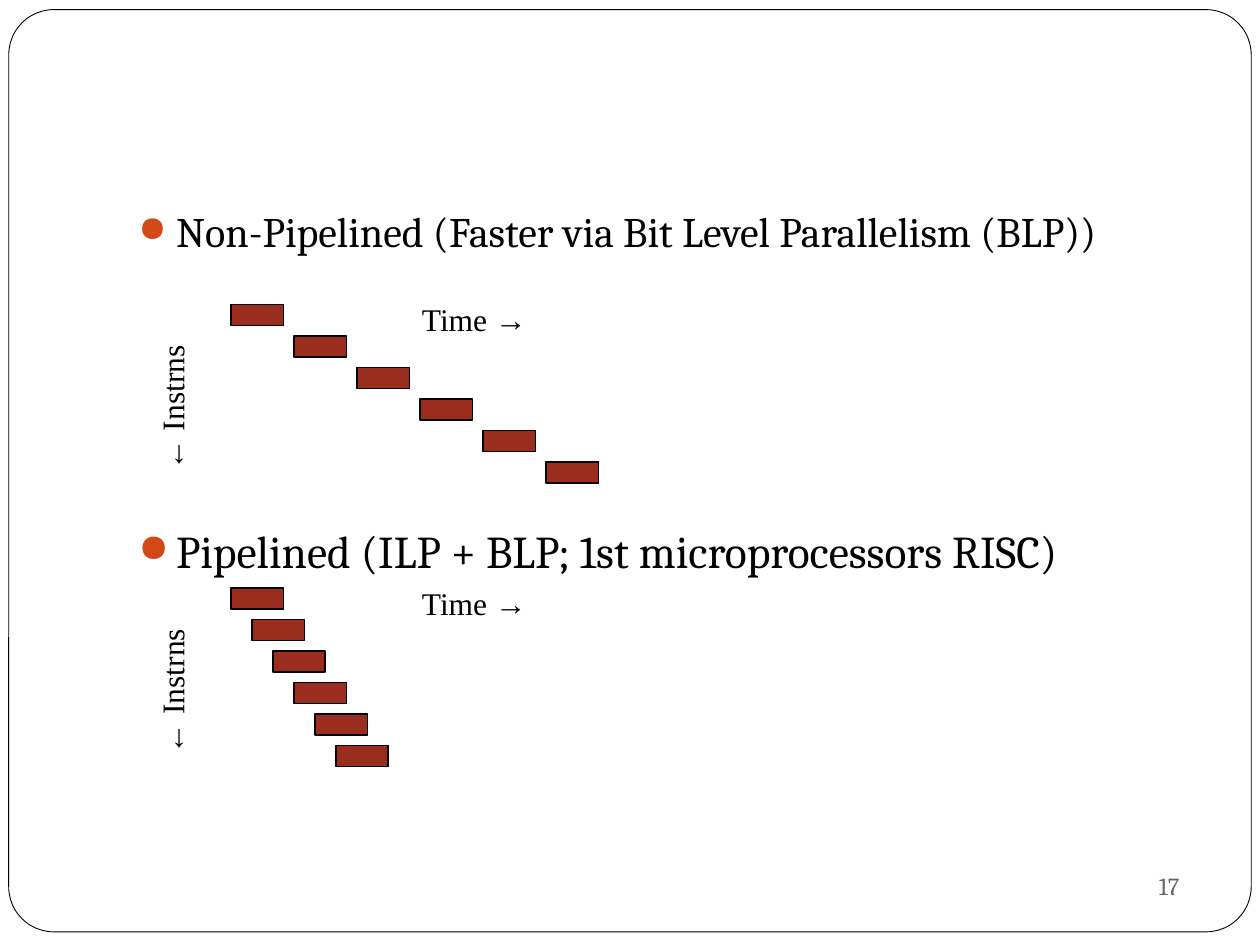
from lxml import etree
from pptx import Presentation
from pptx.dml.color import RGBColor
from pptx.enum.shapes import MSO_SHAPE
from pptx.enum.text import MSO_ANCHOR, PP_ALIGN
from pptx.oxml.ns import qn
from pptx.util import Pt

RECT = MSO_SHAPE.RECTANGLE
ROUNDED = MSO_SHAPE.ROUNDED_RECTANGLE
MIDDLE = MSO_ANCHOR.MIDDLE
LEFT, RIGHT = PP_ALIGN.LEFT, PP_ALIGN.RIGHT
BLACK, WHITE, RUST, ORANGE, GREY = "000000", "FFFFFF", "9B2D1F", "D34817", "696464"
BAR_COUNT = 6


def color(value):
    """Return the colour for a hex string."""
    return RGBColor.from_string(value)


def add_box(shapes, kind, at, fill, line_width):
    """Add a filled preset shape with a black outline."""
    box = shapes.add_shape(kind, *map(Pt, at))
    box.shadow.inherit = False
    box.fill.solid()
    box.fill.fore_color.rgb = color(fill)
    box.line.color.rgb = color(BLACK)
    box.line.width = Pt(line_width)
    return box


def write(paragraph, text, size, font, ink=BLACK, align=LEFT):
    """Write one formatted run into a paragraph."""
    paragraph.alignment = align
    run = paragraph.add_run()
    run.text = text
    run.font.color.rgb = color(ink)
    for name, value in {"size": Pt(size), "name": font}.items():
        setattr(run.font, name, value)


def add_frame(shapes, at, wrap=True):
    """Add a text box and return it."""
    frame = shapes.add_textbox(*map(Pt, at))
    frame.text_frame.word_wrap = wrap
    return frame


def add_bullet(paragraph):
    """Give a paragraph a hanging round orange bullet."""
    props = paragraph._p.get_or_add_pPr()
    props.set("marL", str(Pt(21.6)))
    props.set("indent", str(-Pt(21.6)))
    bullet_color = etree.SubElement(props, qn("a:buClr"))
    etree.SubElement(bullet_color, qn("a:srgbClr"), val=ORANGE)
    etree.SubElement(props, qn("a:buSzPct"), val="85000")
    etree.SubElement(props, qn("a:buChar"), char="●")


def add_headings(shapes):
    """Add the two bulleted headings in one text box."""
    body = add_frame(shapes, (72, 114, 612, 360)).text_frame
    headings = [
        ("Non-Pipelined (Faster via Bit Level Parallelism (BLP))", 24, 5.8),
        ("Pipelined (ILP + BLP; 1st microprocessors RISC)", 26, 152.5),
    ]
    for index, (text, size, gap) in enumerate(headings):
        paragraph = body.add_paragraph() if index else body.paragraphs[0]
        paragraph.space_before = Pt(gap)
        write(paragraph, text, size, "Cambria")
        add_bullet(paragraph)


def add_timeline(shapes, top, step):
    """Add a staircase of instruction bars with its two axis labels."""
    timeline = shapes.add_group_shape().shapes
    for index in range(BAR_COUNT):
        at = (132 + index * step, top + index * 18, 30, 12)
        add_box(timeline, RECT, at, RUST, 1)
    labels = [
        ("Time →", (234, top - 6, 84, 28.8), 0),
        ("← Instrns", (54.7, top + 44, 87.1, 28.8), 270),
    ]
    for text, at, rotation in labels:
        label = add_frame(timeline, at)
        label.rotation = rotation
        write(label.text_frame.paragraphs[0], text, 18, "Times New Roman")


def main():
    """Build the slide comparing instruction timelines."""
    deck = Presentation()
    deck.slide_width, deck.slide_height = Pt(720), Pt(540)
    shapes = deck.slides.add_slide(deck.slide_layouts[6]).shapes
    border = add_box(shapes, ROUNDED, (5, 5.5, 710, 527), WHITE, 0.5)
    border.adjustments[0] = 0.049
    number = add_frame(shapes, (486, 487.5, 195, 37.5)).text_frame
    number.vertical_anchor = MIDDLE
    write(number.paragraphs[0], "17", 14, "Cambria", GREY, RIGHT)
    add_headings(shapes)
    for top, step in ((336, 12), (174, 36)):
        add_timeline(shapes, top, step)
    deck.save("out.pptx")


main()
